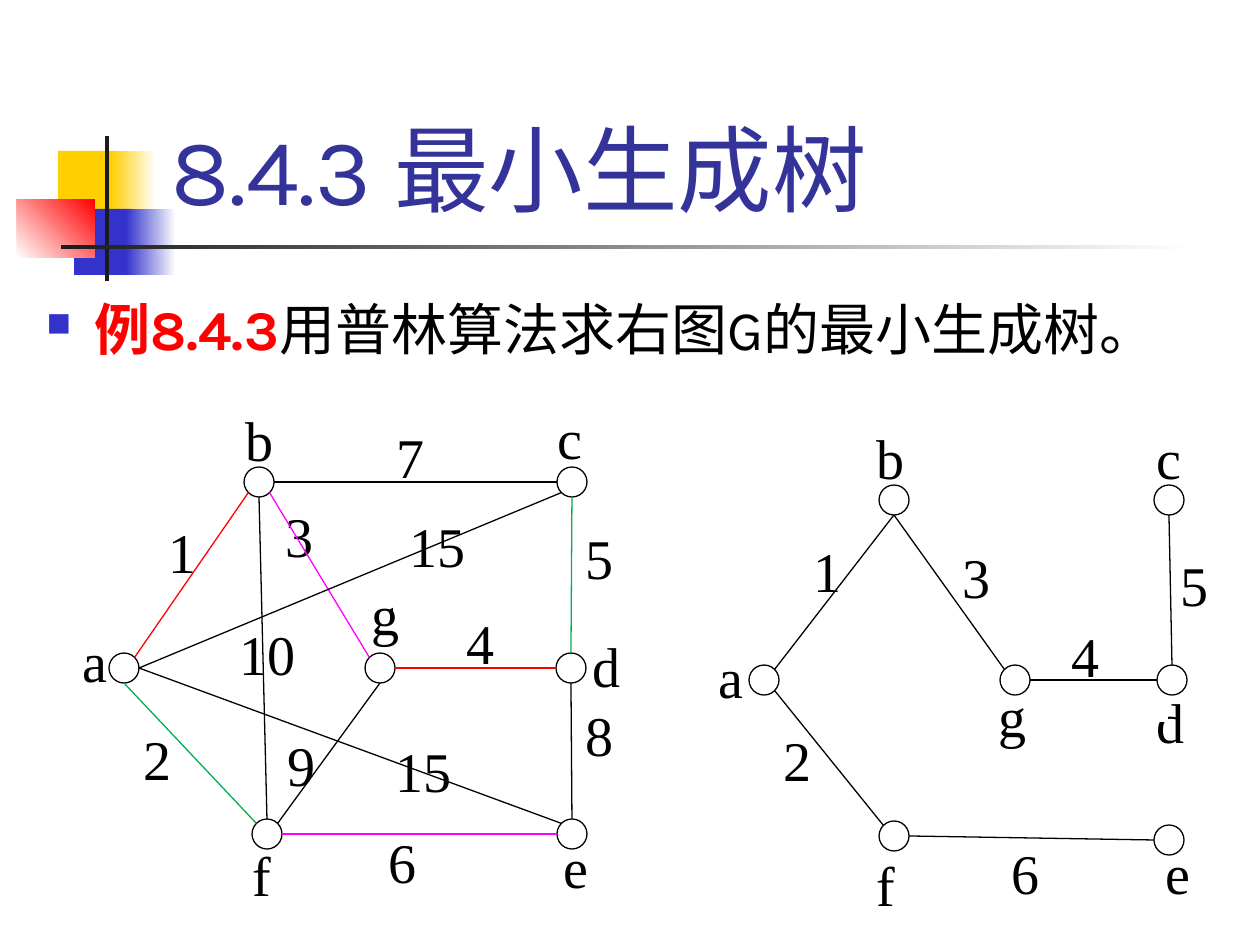
import math

from lxml import etree
from pptx import Presentation
from pptx import util as u
from pptx.dml.color import RGBColor
from pptx.enum import shapes, text
from pptx.oxml.ns import qn

EMU_PER_PX = 914400 / 126
COLORS = {
    "black": "000000", "white": "FFFFFF", "red": "FF0000", "green": "00B050",
    "magenta": "FF00FF", "yellow": "FFCF01", "blue": "3333CC",
    "navy": "333399", "charcoal": "1C1C1C",
}


def px(*lengths):
    return [u.Emu(round(n * EMU_PER_PX)) for n in lengths]


def rgb(name):
    return RGBColor.from_string(COLORS[name])


prs = Presentation()
prs.slide_width, prs.slide_height = px(1260, 945)
slide = prs.slides.add_slide(prs.slide_layouts[6])

# Corner ornament and title rule: box, colour stops, gradient angle
ornament = [
    ((58, 151, 60, 66), ["yellow"], 0),
    ((111, 151, 45, 66), ["yellow", "white"], 0),
    ((74, 209, 58, 66), ["blue"], 0),
    ((126, 209, 50, 66), ["blue", "white"], 0),
    ((17, 199, 78, 59), ["white", "red"], 45),
    ((105, 136, 4, 145), ["charcoal"], 0),
    ((61, 245, 1134, 4), ["charcoal", "white"], 0),
]
for box, stops, angle in ornament:
    block = slide.shapes.add_shape(shapes.MSO_SHAPE.RECTANGLE, *px(*box))
    block.shadow.inherit = False
    block.line.fill.background()
    if len(stops) == 1:
        block.fill.solid()
        block.fill.fore_color.rgb = rgb(stops[0])
    else:
        block.fill.gradient()
        block.fill.gradient_angle = angle
        for stop, name in zip(block.fill.gradient_stops, stops):
            stop.color.rgb = rgb(name)

# Title
title = slide.shapes.add_textbox(*px(159, 29, 1074, 202)).text_frame
title.word_wrap = True
title.vertical_anchor = text.MSO_ANCHOR.BOTTOM
heading = title.paragraphs[0]
heading.text = "8.4.3 最小生成树"
heading.font.size = u.Pt(54)
heading.font.name = "Karla"
heading.font.color.rgb = rgb("navy")

# Example statement with a square bullet
statement = slide.shapes.add_textbox(*px(34, 255, 1226, 690)).text_frame
statement.word_wrap = True
example = statement.paragraphs[0]
example.line_spacing = 1.5
indent, = px(48)
props = example._p.get_or_add_pPr()
props.set("marL", str(indent))
props.set("indent", str(-indent))
bullet_color = etree.SubElement(props, qn("a:buClr"))
etree.SubElement(bullet_color, qn("a:srgbClr"), val=COLORS["blue"])
etree.SubElement(props, qn("a:buSzPct"), val="60000")
etree.SubElement(props, qn("a:buChar"), char="■")
example.font.size = u.Pt(32)
example.font.name = "Karla"
for words, color, bold in [
    ("例8.4.3", "red", True),
    ("用普林算法求右图G的最小生成树。", "black", False),
]:
    run = example.add_run()
    run.text = words
    run.font.bold = bold
    run.font.color.rgb = rgb(color)

# Graphs: vertex centres, vertex names, edge weights,
# and edges as (from, side, to, side, colour)
graph_g = {
    "vertices": {"a": (124, 668), "b": (259, 482), "f": (267, 834), "c": (572, 482),
                 "e": (572, 834), "g": (380, 668), "d": (571, 668)},
    "names": [("e", 549, 825), ("f", 238, 833), ("a", 68, 619), ("g", 357, 571),
              ("d", 577, 624), ("b", 231, 398), ("c", 543, 396)],
    "weights": [("4", 451, 601), ("8", 571, 692), ("5", 571, 515), ("7", 382, 415),
                ("6", 374, 820), ("2", 129, 716), ("1", 154, 510), ("10", 224, 612),
                ("9", 273, 722), ("3", 271, 494), ("15", 381, 728), ("15", 394, 504)],
    "edges": [("b", "E", "c", "W", "black"), ("f", "E", "e", "W", "magenta"),
              ("b", "SW", "a", "NE", "red"), ("a", "S", "f", "NW", "green"),
              ("c", "S", "d", "N", "green"), ("d", "S", "e", "N", "black"),
              ("b", "S", "f", "N", "black"), ("b", "SE", "g", "NW", "magenta"),
              ("g", "S", "f", "NE", "black"), ("g", "E", "d", "W", "red"),
              ("a", "E", "c", "SW", "black"), ("a", "E", "e", "NW", "black")],
}
spanning_tree = {
    "vertices": {"b": (894, 500), "c": (1169, 500), "f": (894, 836), "e": (1169, 840),
                 "a": (764, 680), "g": (1015, 680), "d": (1172, 680)},
    "names": [("e", 1150, 830), ("f", 862, 842), ("d", 1142, 680), ("g", 984, 673),
              ("c", 1142, 416), ("a", 703, 634), ("b", 862, 416)],
    "weights": [("2", 769, 718), ("6", 997, 830), ("4", 1057, 614),
                ("5", 1166, 543), ("3", 948, 534), ("1", 799, 528)],
    "edges": [("b", "S", "a", "NE", "black"), ("a", "SE", "f", "NW", "black"),
              ("b", "S", "g", "NW", "black"), ("g", "E", "d", "W", "black"),
              ("c", "S", "d", "N", "black"), ("f", "E", "e", "W", "black")],
}
RADIUS = 15
SIDES = ["E", "SE", "S", "SW", "W", "NW", "N", "NE"]

for graph in (graph_g, spanning_tree):
    # Labels
    for group, size in (("names", (96, 97)), ("weights", (110, 107))):
        for words, x, y in graph[group]:
            label = slide.shapes.add_shape(shapes.MSO_SHAPE.RECTANGLE, *px(x, y, *size))
            label.shadow.inherit = False
            label.fill.solid()
            label.fill.fore_color.rgb = rgb("white")
            label.line.color.rgb = rgb("white")
            label.line.width = u.Pt(0.75)
            frame = label.text_frame
            frame.vertical_anchor = text.MSO_ANCHOR.TOP
            frame.margin_left, frame.margin_right = px(15, 15)
            frame.margin_top, frame.margin_bottom = px(8, 8)
            caption = frame.paragraphs[0]
            caption.text = words
            caption.alignment = text.PP_ALIGN.LEFT
            caption.font.size = u.Pt(32)
            caption.font.name = "Times New Roman"
            caption.font.color.rgb = rgb("black")

    # Vertices
    for x, y in graph["vertices"].values():
        vertex = slide.shapes.add_shape(
            shapes.MSO_SHAPE.OVAL, *px(x - RADIUS, y - RADIUS, 2 * RADIUS, 2 * RADIUS))
        vertex.shadow.inherit = False
        vertex.fill.solid()
        vertex.fill.fore_color.rgb = rgb("white")
        vertex.line.color.rgb = rgb("black")
        vertex.line.width = u.Pt(0.75)

    # Edges run between points on the vertex circles
    for start, start_side, end, end_side, color in graph["edges"]:
        ends = []
        for name, side in ((start, start_side), (end, end_side)):
            x, y = graph["vertices"][name]
            angle = SIDES.index(side) * math.pi / 4
            ends += [x + RADIUS * math.cos(angle), y + RADIUS * math.sin(angle)]
        edge = slide.shapes.add_connector(shapes.MSO_CONNECTOR.STRAIGHT, *px(*ends))
        edge.line.color.rgb = rgb(color)
        edge.line.width = u.Pt(0.75)
        etree.SubElement(edge._element.spPr, qn("a:effectLst"))

prs.save("out.pptx")
